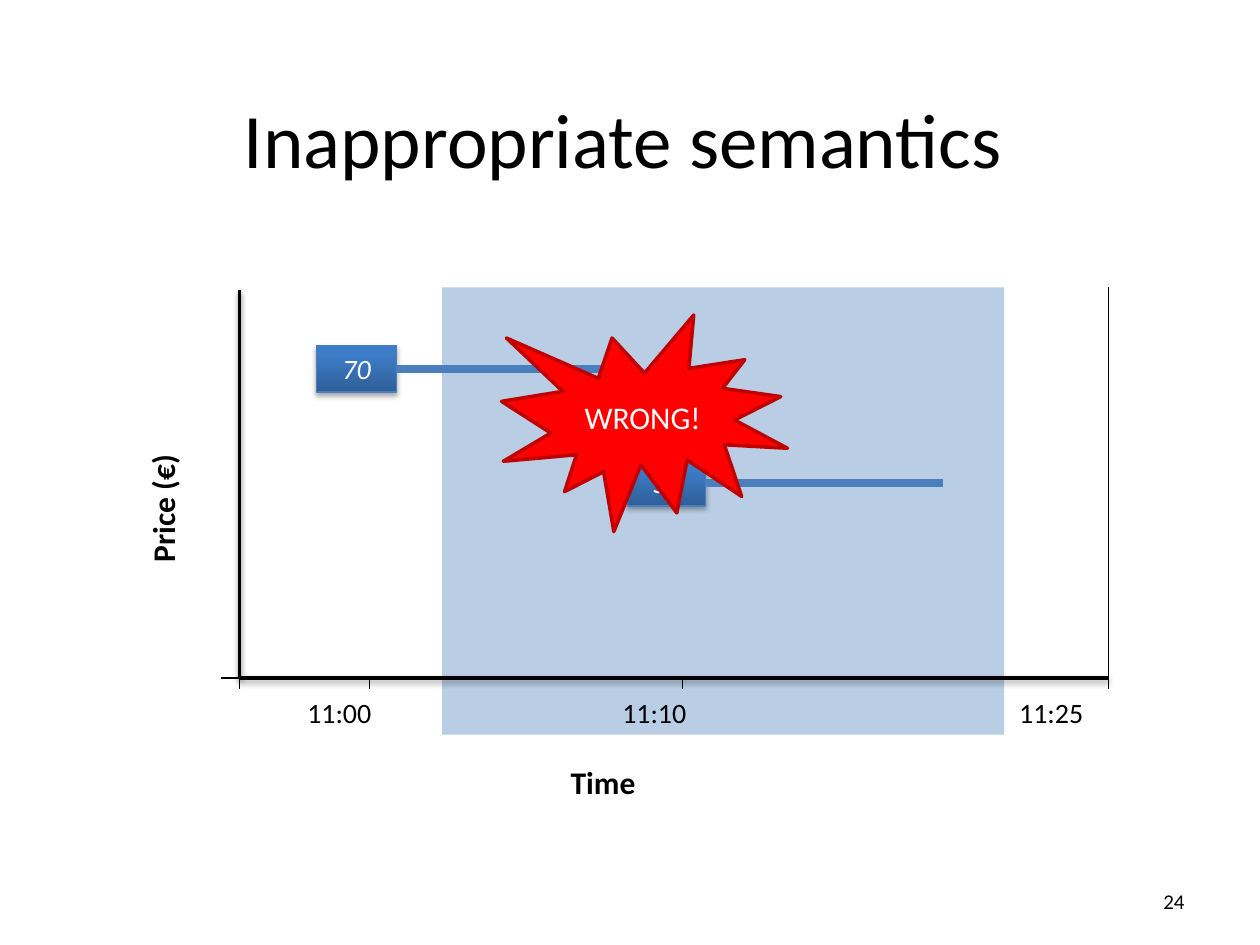
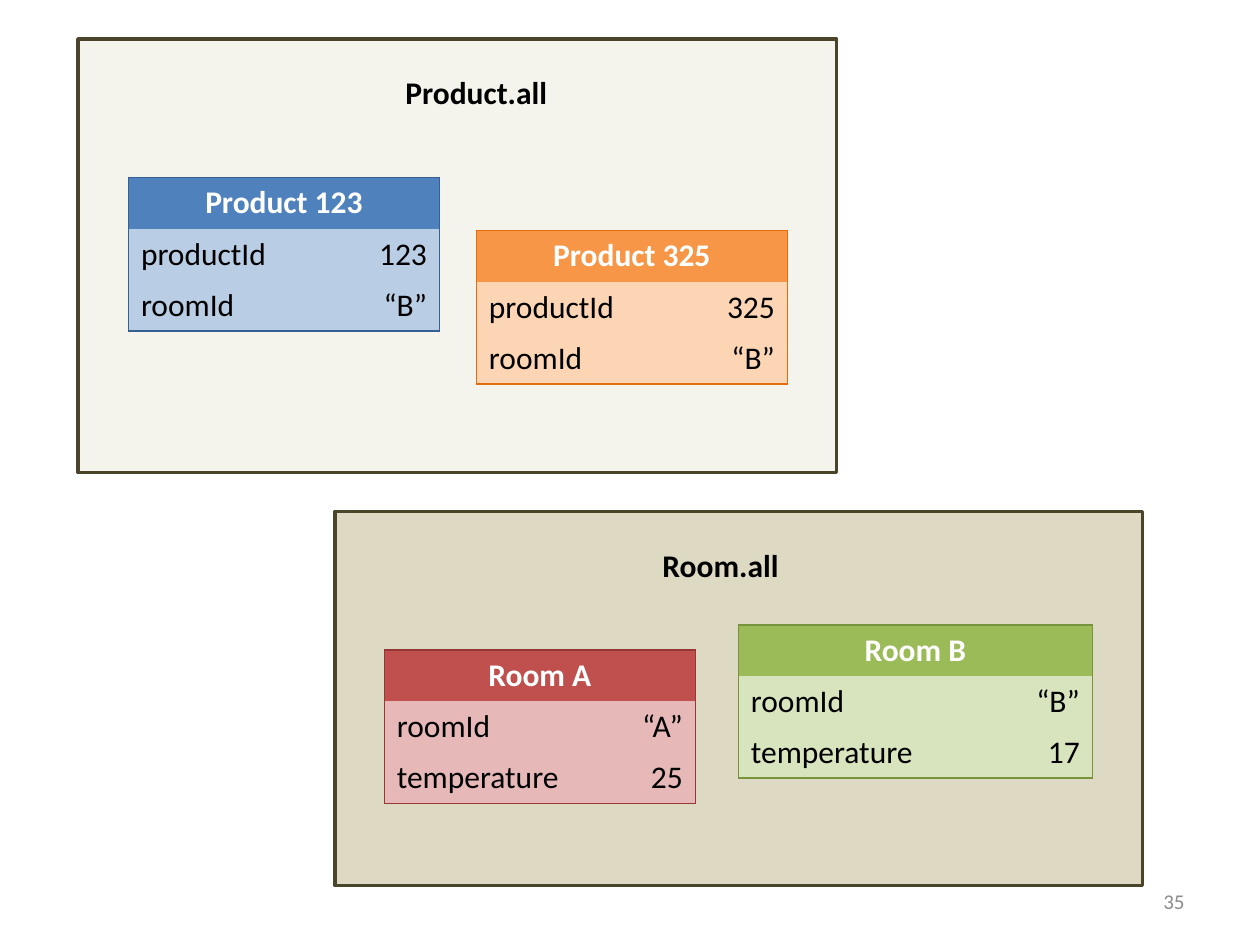
from lxml import etree
from pptx import Presentation
from pptx.dml.color import RGBColor
from pptx.enum.shapes import MSO_CONNECTOR, MSO_SHAPE
from pptx.enum.text import MSO_ANCHOR, PP_ALIGN
from pptx.oxml.ns import qn
from pptx.util import Pt

STRAIGHT = MSO_CONNECTOR.STRAIGHT
RECTANGLE, BURST = MSO_SHAPE.RECTANGLE, MSO_SHAPE.EXPLOSION1
LEFT, CENTER, RIGHT = PP_ALIGN.LEFT, PP_ALIGN.CENTER, PP_ALIGN.RIGHT
TOP, MIDDLE = MSO_ANCHOR.TOP, MSO_ANCHOR.MIDDLE
RIGHT_SIDE = 3

# Shared style
FONT = "Calibri"
BLACK, WHITE, GREY = "000000", "FFFFFF", "8C8C8C"
BLUE, PALE_BLUE, DARK_BLUE, MID_BLUE = "4B7EBC", "B9CDE5", "2F5F99", "3D7CC7"
RED, DARK_RED, OLIVE = "FF0000", "C00000", "4A452A"
PAGE_NUMBER_BOX = (516, 500.4, 168, 28.8)

# Price chart: positions in points
AXIS_LEFT, AXIS_RIGHT, AXIS_TOP, AXIS_BASE = 136.8, 633.6, 165.6, 387.4
FRAME_TOP, TICK_BOTTOM, TICK_OVERHANG = 164.2, 393.8, 10.8
WINDOW = (252.7, FRAME_TOP, 321.1, 255.6)
TICKS = [AXIS_LEFT, 211, 390.2]
TIME_LABELS = [("11:00", 168.5), ("11:10", 348.5), ("11:25", 575.3)]
PRICES = [  # text, box, end of the period it holds for
    ("70", (180.7, 197.5, 46.1, 26.6), 360),
    ("50", (358.6, 262.6, 44.6, 26.6), 538.6),
]

# Object groups: panel, heading and tables, back to front
TABLE_ROW = 29.2
GROUPS = [
    {
        "heading": ("Room.all", (371.5, 308.2, 81.4, 28.8)),
        "panel": (191.5, 292.3, 461.5, 213.8), "fill": "DDD9C3",
        "tables": [
            {"title": "Room A", "rows": [("roomId", "“A”"), ("temperature", "25")],
             "at": (219.6, 371.5), "columns": (127.4, 50.4),
             "colours": ("C0504D", "E6B9B8", "953735")},
            {"title": "Room B", "rows": [("roomId", "“B”"), ("temperature", "17")],
             "at": (421.9, 357.1), "columns": (118.1, 84.2),
             "colours": ("9BBB59", "D7E4BD", "77933C")},
        ],
    },
    {
        "heading": ("Product.all", (224.6, 38.2, 95.8, 28.8)),
        "panel": (44.6, 22.3, 433.4, 247.7), "fill": "F4F3EC",
        "tables": [
            {"title": "Product 123", "rows": [("productId", "123"), ("roomId", "“B”")],
             "at": (73.4, 101.5), "columns": (127.4, 50.4),
             "colours": ("4F81BD", PALE_BLUE, "376092")},
            {"title": "Product 325", "rows": [("productId", "325"), ("roomId", "“B”")],
             "at": (272.2, 131.8), "columns": (127.4, 50.4),
             "colours": ("F79646", "FCD5B5", "E46C0A")},
        ],
    },
]


def rgb(colour):
    return RGBColor.from_string(colour)


def points(values):
    return [Pt(value) for value in values]


def write(frame, text, size, colour, align=LEFT, anchor=TOP, bold=False, italic=False):
    frame.vertical_anchor = anchor
    paragraph = frame.paragraphs[0]
    paragraph.text = text
    paragraph.alignment = align
    font = paragraph.font
    font.name, font.size, font.bold, font.italic = FONT, Pt(size), bold, italic
    font.color.rgb = rgb(colour)


def add_text(slide, box, text, size, colour=BLACK, wrap=False, **style):
    shape = slide.shapes.add_textbox(*points(box))
    shape.text_frame.word_wrap = wrap
    write(shape.text_frame, text, size, colour, **style)
    return shape


def set_shadow(shape, opacity=0):
    """Replace the theme shadow with a soft one below, or with none."""
    properties = shape._element.spPr
    for old in properties.findall(qn("a:effectLst")):
        properties.remove(old)
    effects = etree.SubElement(properties, qn("a:effectLst"))
    if opacity:
        shadow = etree.SubElement(effects, qn("a:outerShdw"), blurRad=str(Pt(3.1)),
                                  dist=str(Pt(1.7)), dir="5400000", rotWithShape="0")
        colour = etree.SubElement(shadow, qn("a:srgbClr"), val=BLACK)
        etree.SubElement(colour, qn("a:alpha"), val=str(opacity * 1000))


def add_shape(slide, kind, box, fill, line=None, width=2, shadow=0):
    shape = slide.shapes.add_shape(kind, *points(box))
    shape.fill.solid()
    shape.fill.fore_color.rgb = rgb(fill)
    if line:
        shape.line.color.rgb = rgb(line)
        shape.line.width = Pt(width)
    else:
        shape.line.fill.background()
    set_shadow(shape, shadow)
    return shape


def add_line(slide, start, end, colour=BLACK, width=0.75, shadow=0):
    connector = slide.shapes.add_connector(STRAIGHT, *points(start + end))
    connector.line.color.rgb = rgb(colour)
    connector.line.width = Pt(width)
    set_shadow(connector, shadow)
    return connector


def add_page_number(slide, number, colour):
    add_text(slide, PAGE_NUMBER_BOX, number, 12, colour, wrap=True, align=RIGHT, anchor=MIDDLE)


def add_price(slide, text, box):
    shape = add_shape(slide, RECTANGLE, box, MID_BLUE, BLUE, 0.75, shadow=35)
    shape.fill.gradient()
    shape.fill.gradient_angle = 90
    for stop, colour, position in zip(shape.fill.gradient_stops, (DARK_BLUE, MID_BLUE), (0, 0.8)):
        stop.color.rgb = rgb(colour)
        stop.position = position
    write(shape.text_frame, text, 16, WHITE, align=CENTER, italic=True)
    return shape


def set_borders(cell, colour, sides):
    properties = cell._tc.get_or_add_tcPr()
    for side in "LRTB":
        line = etree.SubElement(properties, qn("a:ln" + side), w=str(Pt(1)))
        if side in sides:
            fill = etree.SubElement(line, qn("a:solidFill"))
            etree.SubElement(fill, qn("a:srgbClr"), val=colour)
        else:
            etree.SubElement(line, qn("a:noFill"))


def add_object_table(slide, title, rows, at, columns, colours):
    header_fill, body_fill, border = colours
    lines = [(title, "")] + rows
    size = (sum(columns), TABLE_ROW * len(lines))
    table = slide.shapes.add_table(len(lines), 2, *points(at + size)).table
    for column, width in zip(table.columns, columns):
        column.width = Pt(width)
    table.cell(0, 0).merge(table.cell(0, 1))
    for r, line in enumerate(lines):
        table.rows[r].height = Pt(TABLE_ROW)
        header = r == 0
        for c, text in enumerate(line):
            cell = table.cell(r, c)
            sides = "L" if c == 0 else "R"
            if header:
                sides += "TR"
            if r == len(lines) - 1:
                sides += "B"
            set_borders(cell, border, sides)
            cell.fill.solid()
            cell.fill.fore_color.rgb = rgb(header_fill if header else body_fill)
            if text:
                align = CENTER if header else (LEFT, RIGHT)[c]
                write(cell.text_frame, text, 18, WHITE if header else BLACK,
                      align=align, bold=header)


def build_semantics_slide(slide):
    add_page_number(slide, "24", BLACK)
    add_text(slide, (95.8, 33.8, 520.6, 90), "Inappropriate semantics", 44,
             wrap=True, align=CENTER, anchor=MIDDLE)

    # Time window, axes, ticks and frame
    add_shape(slide, RECTANGLE, WINDOW, PALE_BLUE)
    origin = (AXIS_LEFT, AXIS_BASE)
    for end in ((AXIS_RIGHT, AXIS_BASE), (AXIS_LEFT, AXIS_TOP)):
        add_line(slide, origin, end, width=2, shadow=38)
    for x in TICKS:
        add_line(slide, (x, AXIS_BASE), (x, TICK_BOTTOM))
    add_line(slide, origin, (AXIS_LEFT - TICK_OVERHANG, AXIS_BASE))
    add_line(slide, (AXIS_RIGHT, TICK_BOTTOM), (AXIS_RIGHT, FRAME_TOP))

    # Labels
    for text, left in TIME_LABELS:
        add_text(slide, (left, TICK_BOTTOM, 51.8, 26.6), text, 16)
    add_text(slide, (319, 432.7, 51.8, 28.8), "Time", 18, bold=True)
    price_label = add_text(slide, (78.5, 223.2, 36, 105.1), "Price (€)", 18, wrap=True, bold=True)
    price_label.text_frame._txBody.bodyPr.set("vert", "vert270")

    # Prices and the periods they hold for
    for text, box, end in PRICES:
        price = add_price(slide, text, box)
        left, top, width, height = box
        middle = top + height / 2
        period = add_line(slide, (left + width, middle), (end, middle), BLUE, 4.5)
        period.begin_connect(price, RIGHT_SIDE)

    # Verdict
    verdict = add_shape(slide, BURST, (286.6, 180, 163.4, 123.8), RED, DARK_RED)
    verdict.text_frame.word_wrap = False
    write(verdict.text_frame, "WRONG!", 18, WHITE, align=CENTER, anchor=MIDDLE)


def build_objects_slide(slide):
    add_page_number(slide, "35", GREY)
    for group in GROUPS:
        add_shape(slide, RECTANGLE, group["panel"], group["fill"], OLIVE)
        text, box = group["heading"]
        add_text(slide, box, text, 18, bold=True)
        for table in group["tables"]:
            add_object_table(slide, **table)


def main():
    presentation = Presentation()
    presentation.slide_width, presentation.slide_height = Pt(720), Pt(540)
    blank = presentation.slide_layouts[6]
    for build in (build_semantics_slide, build_objects_slide):
        build(presentation.slides.add_slide(blank))
    presentation.save("out.pptx")


if __name__ == "__main__":
    main()
